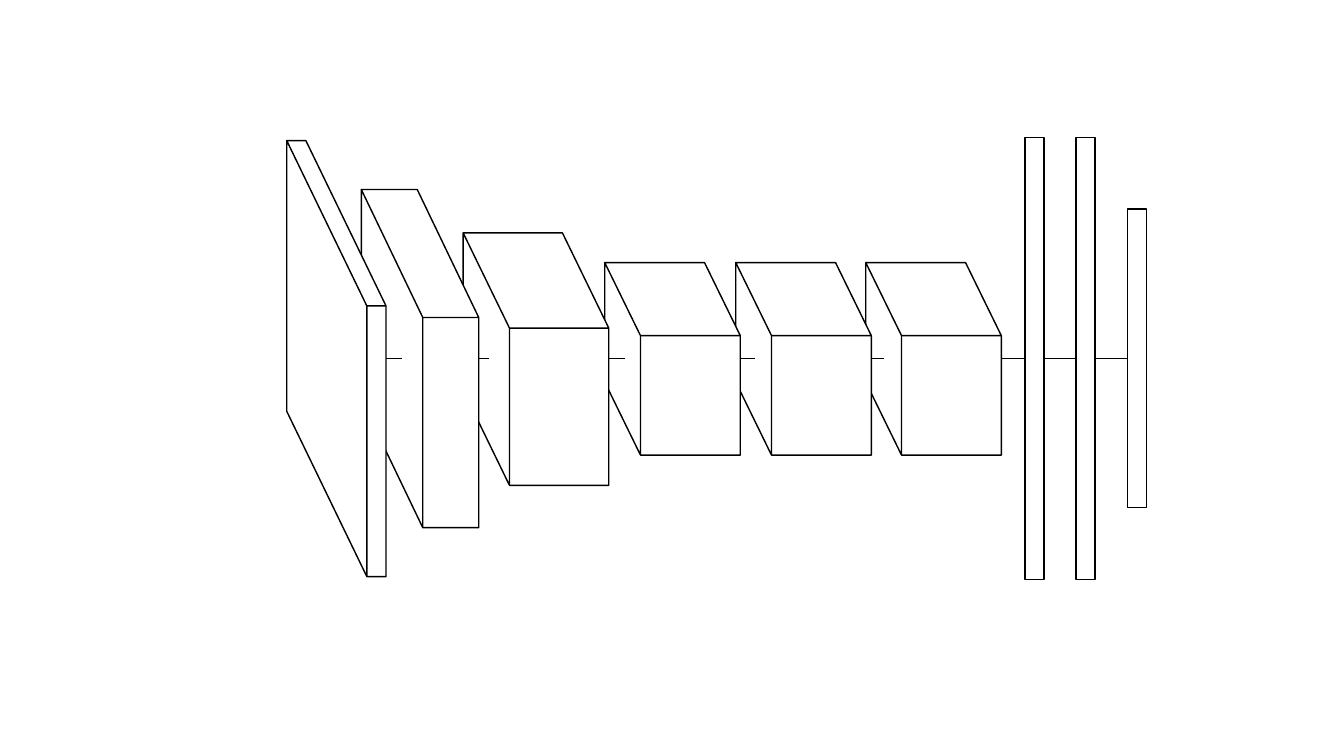
from lxml.etree import SubElement
from pptx import Presentation
from pptx.dml.color import RGBColor
from pptx.enum.shapes import MSO_CONNECTOR as Connector, MSO_SHAPE as Shape
from pptx.oxml.ns import qn
from pptx.util import Inches, Pt

BLACK = RGBColor(0x00, 0x00, 0x00)
WHITE = RGBColor(0xFF, 0xFF, 0xFF)
LINE_FORMAT = {"width": Pt(2)}
AXIS_Y = 7.11
LINK_LENGTH = 0.55
BAR_WIDTH = 0.38

# Right to left, so that each block covers the one behind it:
# left, top, depth x, depth y, front width, front height, start of link on its side
BLOCKS = [
    (17.18, 5.21, 0.71, 1.45, 1.98, 2.37, 17.0),
    (14.6, 5.21, 0.71, 1.45, 1.98, 2.37, 14.43),
    (12.0, 5.21, 0.71, 1.45, 1.98, 2.37, 11.86),
    (9.19, 4.62, 0.92, 1.89, 1.97, 3.12, 9.15),
    (7.17, 3.76, 1.22, 2.54, 1.11, 4.17, 7.43),
    (5.69, 2.79, 1.59, 3.28, 0.38, 5.37, None),
]
# left, height
BARS = [(20.34, 8.77), (21.35, 8.77), (22.37, 5.92)]


def format_line(line):
    line.color.rgb = BLACK
    for name, value in LINE_FORMAT.items():
        setattr(line, name, value)


def format_shape(shape):
    shape.shadow.inherit = False
    shape.fill.solid()
    shape.fill.fore_color.rgb = WHITE
    format_line(shape.line)


def add_link(slide, start, end):
    """Draw a horizontal line on the common axis of the layers."""
    link = slide.shapes.add_connector(
        Connector.STRAIGHT, Inches(start), Inches(AXIS_Y), Inches(end), Inches(AXIS_Y))
    format_line(link.line)
    SubElement(link._element.spPr, qn("a:effectLst"))


def add_block(slide, left, top, depth_x, depth_y, width, height):
    """Draw a box as one outline that runs round its side, top and front faces."""
    front_left, front_top = left + depth_x, top + depth_y
    front_right, front_bottom = front_left + width, front_top + height
    corner = (front_left, front_top)
    side = [(front_left, front_bottom), (left, top + height), (left, top), corner]
    roof = [(left, top), (left + width, top), (front_right, front_top), corner]
    front = [(front_right, front_top), (front_right, front_bottom), (front_left, front_bottom)]
    builder = slide.shapes.build_freeform(Inches(front_left), Inches(front_top))
    points = [(Inches(x), Inches(y)) for x, y in side + roof + front]
    builder.add_line_segments(points, close=True)
    format_shape(builder.convert_to_shape())


def add_bar(slide, left, height):
    """Draw a fully connected layer, centred on the axis."""
    bar = slide.shapes.add_shape(
        Shape.RECTANGLE, Inches(left), Inches(AXIS_Y - height / 2),
        Inches(BAR_WIDTH), Inches(height))
    format_shape(bar)


def main():
    presentation = Presentation()
    presentation.slide_width = Inches(26.67)
    presentation.slide_height = Inches(15)
    slide = presentation.slides.add_slide(presentation.slide_layouts[6])

    add_link(slide, 19.72, 22.6)
    for left, height in BARS:
        add_bar(slide, left, height)
    for *box, link_start in BLOCKS:
        add_block(slide, *box)
        if link_start is not None:
            add_link(slide, link_start, link_start + LINK_LENGTH)

    presentation.save("out.pptx")


if __name__ == "__main__":
    main()
